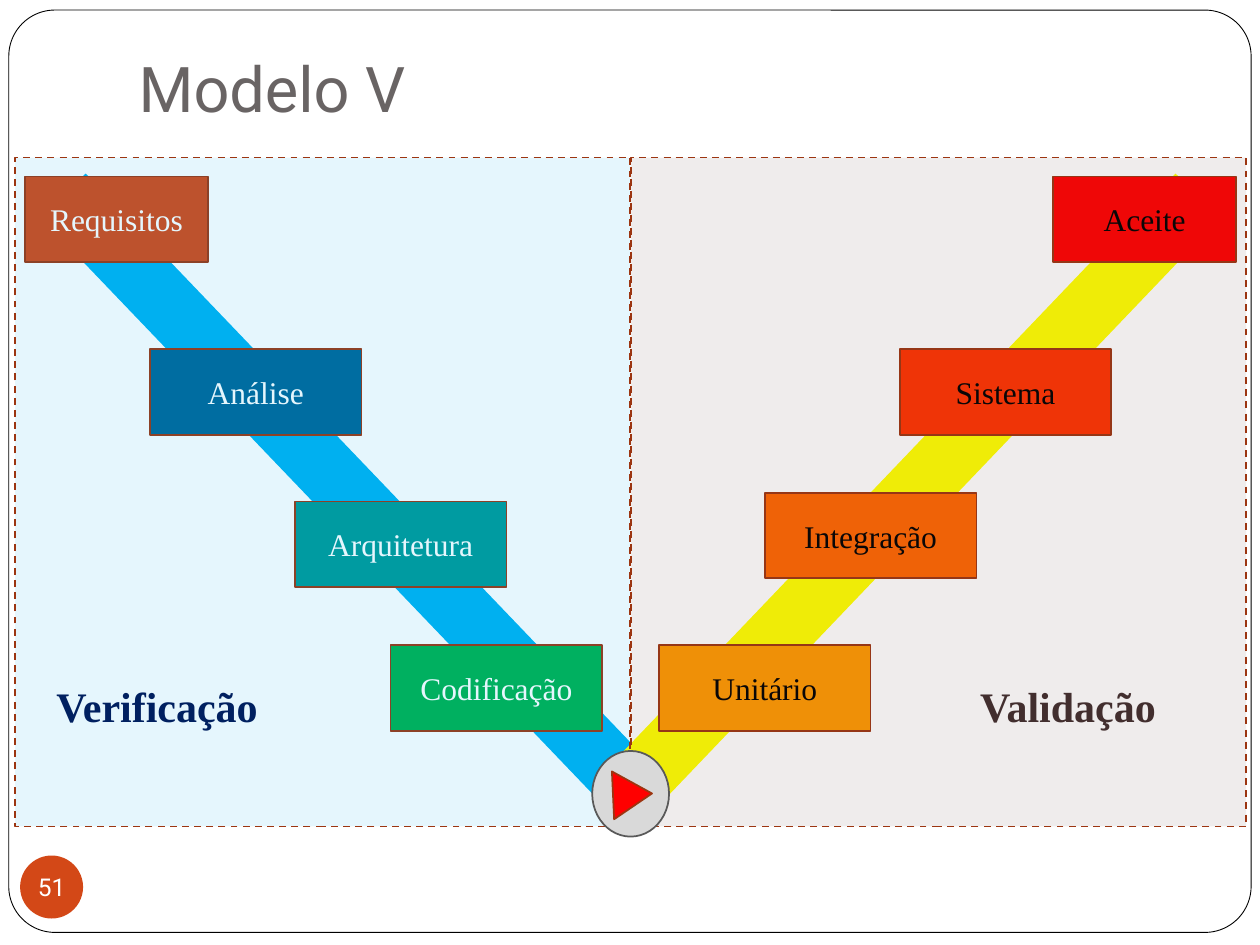
from lxml import etree
from pptx import Presentation
from pptx.dml.color import RGBColor
from pptx.enum.dml import MSO_LINE_DASH_STYLE as Dash
from pptx.enum.shapes import MSO_CONNECTOR, MSO_SHAPE as Kind
from pptx.enum.text import MSO_ANCHOR as Anchor, PP_ALIGN as Align
from pptx.oxml.ns import qn
from pptx.util import Inches, Pt

THEME = {
    "heading_font": "Roboto", "body_font": "Times New Roman",
    "title_size": 36, "phase_size": 24, "step_size": 18, "number_size": 14,
    "title": "696464", "accent": "D34817", "outline": "9C3511",
    "white": "FFFFFF", "black": "000000", "red": "FF0000",
    "descent": "00B0F0", "ascent": "FFFF00",
    "left_panel": "00B0F0", "right_panel": "644646",
    "left_phase": "002060", "right_phase": "422E2E",
    "hub": "D9D9D9", "hub_line": "595959",
}

presentation = Presentation()
presentation.slide_width, presentation.slide_height = Inches(10), Inches(7.5)
slide = presentation.slides.add_slide(presentation.slide_layouts[5])

# Grid of 100 columns by 75 rows
CELL = presentation.slide_width / 100


def add_box(kind, left, top, width, height, fill, line=None, weight=1):
    shape = slide.shapes.add_shape(
        kind, *(round(n * CELL) for n in (left, top, width, height)))
    shape.shadow.inherit = False
    shape.fill.solid()
    shape.fill.fore_color.rgb = RGBColor.from_string(fill)
    if line:
        shape.line.color.rgb = RGBColor.from_string(line)
        shape.line.width = Pt(weight)
    else:
        shape.line.fill.background()
    return shape


def write(shape, text, size, color, font, align=Align.CENTER,
          anchor=Anchor.MIDDLE, bold=False):
    frame = shape.text_frame
    frame.text = text
    frame.word_wrap = True
    frame.vertical_anchor = anchor
    paragraph = frame.paragraphs[0]
    paragraph.alignment = align
    run = paragraph.runs[0]
    run.font.name, run.font.size, run.font.bold = font, Pt(size), bold
    run.font.color.rgb = RGBColor.from_string(color)


# Rounded frame, behind the title
frame_shape = add_box(Kind.ROUNDED_RECTANGLE, 0.7, 0.8, 98.6, 73.2,
                      THEME["white"], THEME["black"], 0.5)
frame_shape.adjustments[0] = 0.05
slide.shapes.title.element.addprevious(frame_shape.element)

# Title
title = slide.shapes.title
title.left, title.top, title.width, title.height = (
    round(n * CELL) for n in (10, 3, 85, 7.9))
write(title, "Modelo V", THEME["title_size"], THEME["title"],
      THEME["heading_font"], Align.LEFT, Anchor.BOTTOM)
title.text_frame.margin_bottom = Inches(0.1)

# Two arms of the V, meeting at the hub
HUB_X, HUB_Y = 50.1, 62.6
for outer, color in ((5, THEME["descent"]), (95.1, THEME["ascent"])):
    arm = slide.shapes.add_connector(
        MSO_CONNECTOR.STRAIGHT,
        *(round(n * CELL) for n in (outer, 15.5, HUB_X, HUB_Y)))
    arm.line.color.rgb = RGBColor.from_string(color)
    arm.line.width = Pt(36)
    etree.SubElement(arm.element.spPr, qn("a:effectLst"))

# Steps: name, column, row, width, fill
sides = {
    "white": [("Requisitos", 2, 14, 14.5, "D34817"),
              ("Análise", 11.9, 27.7, 16.8, "006699"),
              ("Arquitetura", 23.4, 39.8, 16.8, "009999"),
              ("Codificação", 31, 51.2, 16.8, "00B050")],
    "black": [("Aceite", 83.6, 14, 14.5, "FF0000"),
              ("Sistema", 71.4, 27.7, 16.8, "FF3300"),
              ("Integração", 60.7, 39.1, 16.8, "FF6600"),
              ("Unitário", 52.3, 51.2, 16.8, "FF9900")],
}
for text_color, steps in sides.items():
    for name, left, top, width, fill in steps:
        step = add_box(Kind.RECTANGLE, left, top, width, 6.8,
                       fill, THEME["outline"])
        write(step, name, THEME["step_size"], THEME[text_color],
              THEME["body_font"])

# Translucent dashed panels over each half
for left, fill in ((1.2, "left_panel"), (HUB_X, "right_panel")):
    panel = add_box(Kind.RECTANGLE, left, 12.5, 48.8, 53.1,
                    THEME[fill], THEME["outline"])
    panel.line.dash_style = Dash.DASH
    color_element = panel.element.spPr.find(qn("a:solidFill"))[0]
    etree.SubElement(color_element, qn("a:alpha"), val="10000")

# Hub with its arrow
add_box(Kind.OVAL, 47, 59.6, 6.1, 6.8, THEME["hub"], THEME["hub_line"])
arrow = add_box(Kind.ISOSCELES_TRIANGLE, 48.3, 61.5, 3.8, 3.1,
                THEME["red"], THEME["outline"])
arrow.rotation = 87.3

# Phase names
for name, left, width, color in (("Validação", 76.8, 19.8, "right_phase"),
                                 ("Verificação", 3.5, 20.6, "left_phase")):
    label = slide.shapes.add_textbox(
        *(round(n * CELL) for n in (left, 53.5, width, 4.9)))
    write(label, name, THEME["phase_size"], THEME[color], THEME["body_font"],
          Align.LEFT, Anchor.TOP, bold=True)

# Slide number
badge = add_box(Kind.OVAL, 1.6, 67.9, 5, 5, THEME["accent"])
write(badge, "51", THEME["number_size"], THEME["white"], THEME["heading_font"])
badge_text = badge.text_frame
badge_text.word_wrap = False
badge_text.margin_left = badge_text.margin_right = 0
badge_text.margin_top = badge_text.margin_bottom = 0

presentation.save("out.pptx")
